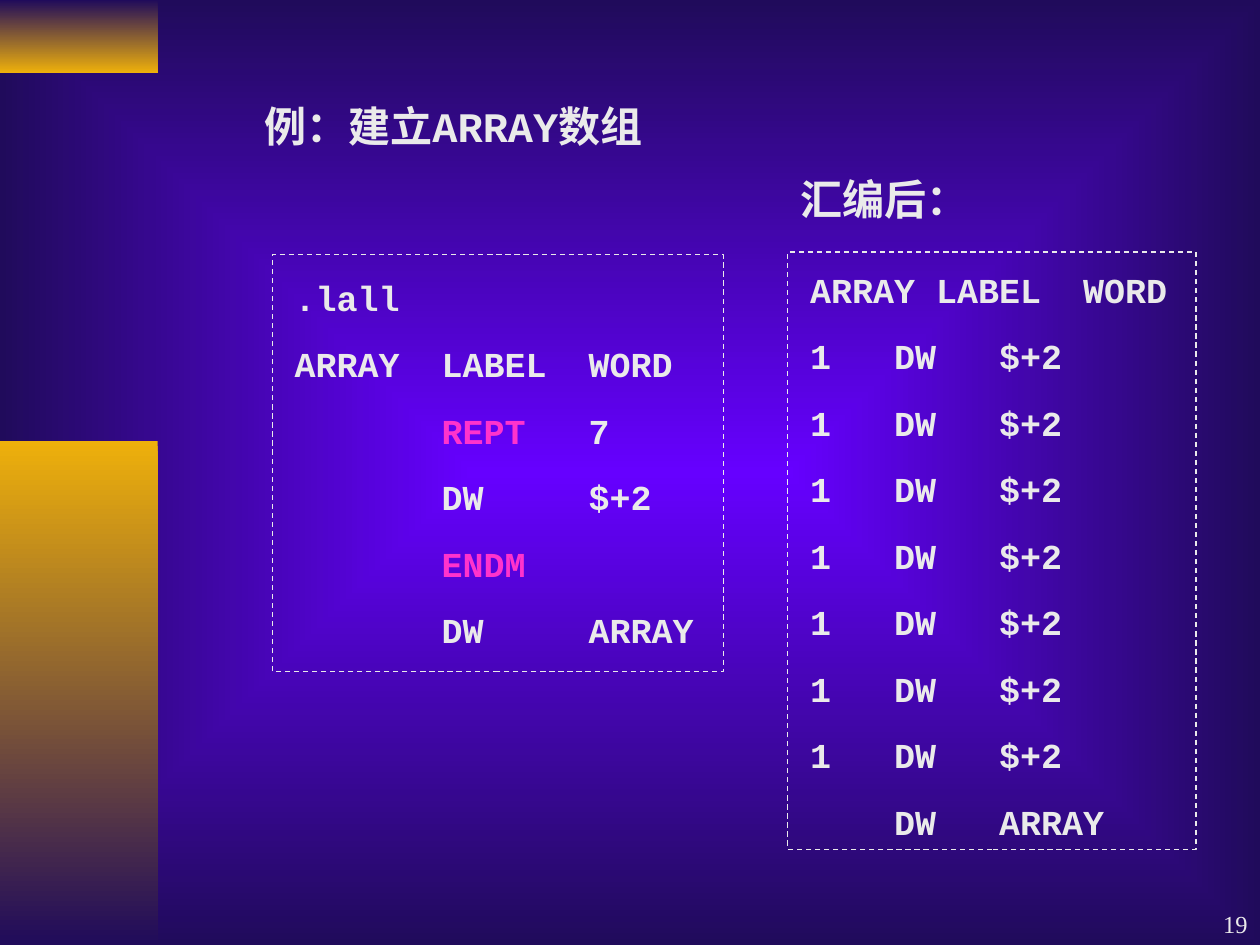
from lxml import etree
from pptx import Presentation
from pptx import util as u
from pptx.dml.color import RGBColor
from pptx.enum import dml, shapes, text
from pptx.oxml.ns import qn

COLORS = {"glow": "6600FF", "night": "200B5B", "gold": "EEB00B",
          "light": "EAEAEA", "pink": "FF33CC"}
SANS, MONO, CODE, SERIF = "Noto Sans CJK SC", "Noto Sans Mono", "Courier New", "Times New Roman"
KEYWORDS = {"REPT", "ENDM"}
CODE_SIZE = 20
CHAR_POINTS = CODE_SIZE * 0.6

TITLE = [("例：建立", SANS), ("ARRAY", CODE), ("数组", SANS)]
HEADING = [("汇编后：", MONO)]
PAGE_NUMBER = [("19", SERIF)]
SOURCE = [
    (".lall",),
    ("ARRAY", "LABEL", "WORD"),
    ("", "REPT", "7"),
    ("", "DW", "$+2"),
    ("", "ENDM"),
    ("", "DW", "ARRAY"),
]
EXPANDED = [("ARRAY", "LABEL", "WORD")] + [("1", "DW", "$+2")] * 7 + [("", "DW", "ARRAY")]

BARS = [((0, 0, 3.18, 1.47), ("night", "gold")),
        ((0, 8.89, 3.18, 10.16), ("gold", "night"))]
LISTINGS = [
    (SOURCE, [(7, 14)] * len(SOURCE), (5.69, 5.44, 8.92, 7.54), (5.49, 5.13, 9.09, 8.41)),
    (EXPANDED, [(6, 13)] + [(4, 9)] * 8, (16.08, 5.28, 8, 11.4), (15.88, 5.08, 8.23, 12.04)),
]


def color(name):
    return RGBColor.from_string(COLORS[name])


def cm(place):
    return [u.Cm(length) for length in place]


def set_gradient(fill, names):
    fill.gradient()
    for stop, name in zip(fill.gradient_stops, names):
        stop.color.rgb = color(name)


def add_rectangle(page, place):
    shape = page.shapes.add_shape(shapes.MSO_SHAPE.RECTANGLE, *cm(place))
    shape.shadow.inherit = False
    return shape


def set_tabs(para, columns):
    tabs = etree.SubElement(para._p.get_or_add_pPr(), qn("a:tabLst"))
    for column in columns:
        etree.SubElement(tabs, qn("a:tab"), pos=str(u.Pt(column * CHAR_POINTS)), algn="l")


def add_text(page, place, lines, size=24, bold=True, align=text.PP_ALIGN.LEFT,
             before=0, anchor=text.MSO_ANCHOR.TOP, tabs=()):
    box = page.shapes.add_textbox(*cm(place))
    frame = box.text_frame
    frame.word_wrap = True
    frame.vertical_anchor = anchor
    for index, line in enumerate(lines):
        para = frame.add_paragraph() if index else frame.paragraphs[0]
        para.alignment = align
        para.space_before = u.Pt(before)
        if tabs:
            set_tabs(para, tabs[index])
        for words, font in line:
            span = para.add_run()
            span.text = words
            span.font.name = font
            span.font.size = u.Pt(size)
            span.font.bold = bold
            span.font.color.rgb = color("pink" if words.strip() in KEYWORDS else "light")
            if font in (SANS, MONO):
                etree.SubElement(span.font._element, qn("a:ea"), typeface=font)


def code_line(cells):
    return [(("\t" if index else "") + cell, CODE)
            for index, cell in enumerate(cells) if cell or index]


def add_background(page):
    set_gradient(page.background.fill, ("glow", "night"))
    gradient = page.element.find(".//" + qn("p:bgPr")).find(qn("a:gradFill"))
    gradient.remove(gradient.find(qn("a:lin")))
    center = etree.SubElement(gradient, qn("a:path"), path="rect")
    etree.SubElement(center, qn("a:fillToRect"), l="50000", t="50000", r="50000", b="50000")


def main():
    deck = Presentation()
    deck.slide_width, deck.slide_height = u.Cm(25.4), u.Cm(19.05)
    page = deck.slides.add_slide(deck.slide_layouts[6])
    add_background(page)
    for place, names in BARS:
        bar = add_rectangle(page, place)
        set_gradient(bar.fill, names)
        bar.fill.gradient_angle = 270
        bar.line.fill.background()
    add_text(page, (5.08, 1.91, 17.83, 1.27), [TITLE])
    for rows, tabs, place, border in LISTINGS:
        add_text(page, place, [code_line(row) for row in rows], size=CODE_SIZE,
                 align=text.PP_ALIGN.JUSTIFY, before=14, tabs=tabs)
        outline = add_rectangle(page, border)
        outline.fill.background()
        outline.line.color.rgb = color("light")
        outline.line.width = u.Pt(0.75)
        outline.line.dash_style = dml.MSO_LINE.DASH
    add_text(page, (15.88, 3.38, 8.23, 1.27), [HEADING], align=text.PP_ALIGN.JUSTIFY, before=15)
    add_text(page, (20.12, 17.78, 5.28, 1.27), [PAGE_NUMBER], size=14, bold=False,
             align=text.PP_ALIGN.RIGHT, anchor=text.MSO_ANCHOR.BOTTOM)
    deck.save("out.pptx")


if __name__ == "__main__":
    main()
